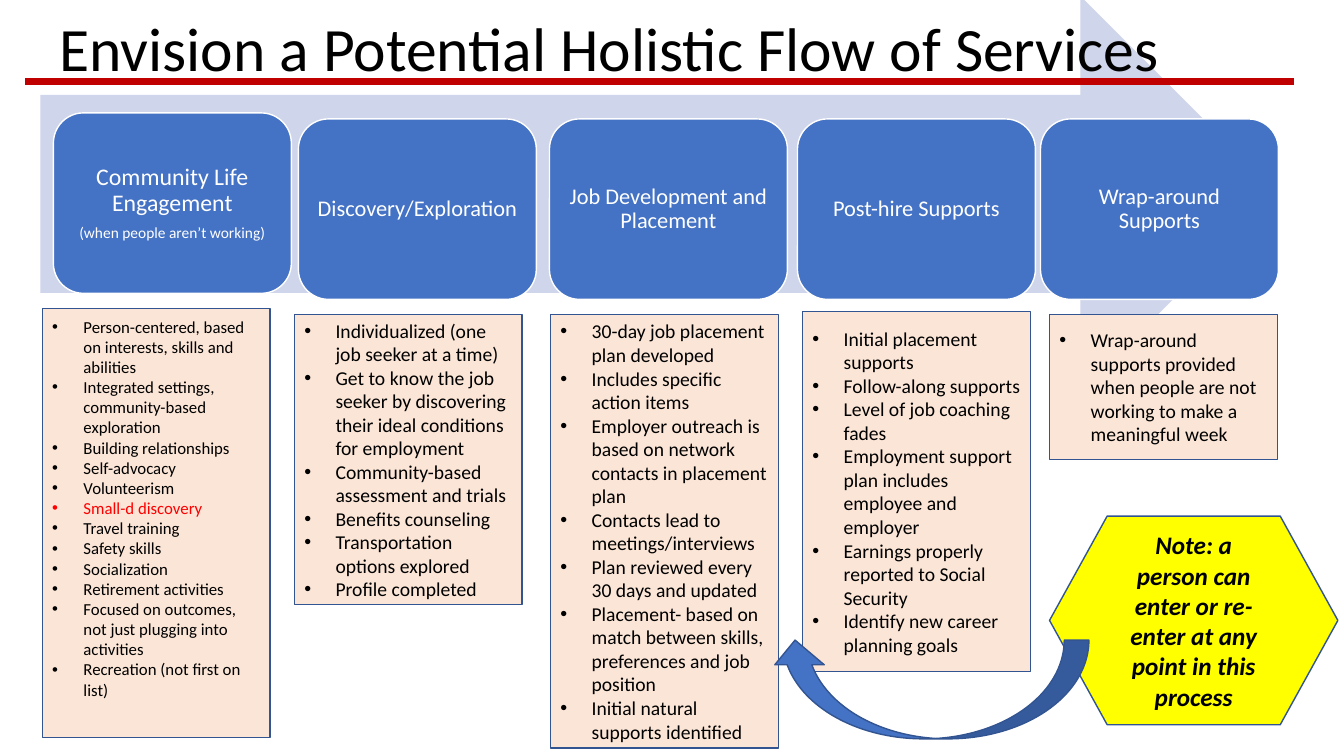
from lxml import etree
from pptx import Presentation
from pptx import util as u
from pptx.dml.color import RGBColor
from pptx.enum import shapes, text
from pptx.oxml.ns import qn

COLORS = {"blue": "4472C4", "pale": "CFD5EA", "white": "FFFFFF", "black": "000000",
          "peach": "FBE5D6", "navy": "325491", "red": "FF0000", "rule": "C00000",
          "yellow": "FFFF00"}
FONT = "Calibri"
SHAPE = shapes.MSO_SHAPE
CENTER, LEFT = text.PP_ALIGN.CENTER, text.PP_ALIGN.LEFT
CARD_WIDTH, LIST_WIDTH, INDENT = 2.36, 2.26, 0.31
HIGHLIGHT = "Small-d discovery"

# Each stage: card (left, top, lines), list (left, top, height, size, bottom inset, items)
STAGES = [
    {"card": (0.53, 1.12, [("Community Life Engagement", 17),
                           ("(when people aren’t working)", 11)]),
     "list": (0.42, 3.06, 4.26, 12, 0.35, [
         "Person-centered, based on interests, skills and abilities",
         "Integrated settings, community-based exploration",
         "Building relationships", "Self-advocacy", "Volunteerism", HIGHLIGHT,
         "Travel training", "Safety skills", "Socialization", "Retirement activities",
         "Focused on outcomes, not just plugging into activities",
         "Recreation (not first on list)"])},
    {"card": (2.96, 1.18, [("Discovery/Exploration", 16)]),
     "list": (2.92, 3.12, 2.88, 14, 0.05, [
         "Individualized (one job seeker at a time)",
         "Get to know the job seeker by discovering their ideal conditions for employment",
         "Community-based assessment and trials", "Benefits counseling",
         "Transportation options explored", "Profile completed"])},
    {"card": (5.45, 1.18, [("Job Development and Placement", 16)]),
     "list": (5.46, 3.12, 4.3, 14, 0.05, [
         "30-day job placement plan developed", "Includes specific action items",
         "Employer outreach is based on network contacts in placement plan",
         "Contacts lead to meetings/interviews",
         "Plan reviewed every 30 days and updated",
         "Placement- based on match between skills, preferences and job position",
         "Initial natural supports identified"])},
    {"card": (7.91, 1.18, [("Post-hire Supports", 16)]),
     "list": (7.96, 3.09, 3.57, 14, 0.05, [
         "Initial placement supports", "Follow-along supports",
         "Level of job coaching fades",
         "Employment support plan includes employee and employer",
         "Earnings properly reported to Social Security",
         "Identify new career planning goals"])},
    {"card": (10.32, 1.18, [("Wrap-around Supports", 16)]),
     "list": (10.41, 3.12, 1.44, 14, 0.05, [
         "Wrap-around supports provided when people are not working "
         "to make a meaningful week"])},
]


def color(name):
    return RGBColor.from_string(COLORS[name])


def add_block(page, kind, box, fill, line=None):
    block = page.shapes.add_shape(kind, *map(u.Inches, box))
    block.shadow.inherit = False
    block.fill.solid()
    block.fill.fore_color.rgb = color(fill)
    if line:
        block.line.color.rgb = color(line)
        block.line.width = u.Pt(1)
    else:
        block.line.fill.background()
    return block


def prepare_frame(block, inset=(0.1, 0.05, 0.1, 0.05)):
    """Wrap and centre vertically, with insets left, top, right, bottom."""
    frame = block.text_frame
    frame.word_wrap = True
    frame.vertical_anchor = text.MSO_ANCHOR.MIDDLE
    (frame.margin_left, frame.margin_top,
     frame.margin_right, frame.margin_bottom) = map(u.Inches, inset)
    return frame


def write(frame, words, size, ink="black", align=LEFT, bullet=False, spacing=1.0,
          after=0, bold=False, italic=False):
    """Fill the empty first paragraph, or append another one."""
    para = frame.paragraphs[0]
    if para.runs:
        para = frame.add_paragraph()
    if bullet:
        props = para._p.get_or_add_pPr()
        props.set("marL", str(u.Inches(INDENT)))
        props.set("indent", str(-u.Inches(INDENT)))
        etree.SubElement(props, qn("a:buFont")).set("typeface", "Arial")
        etree.SubElement(props, qn("a:buChar")).set("char", "•")
    para.alignment = align
    para.line_spacing = spacing
    para.space_after = u.Pt(after)
    span = para.add_run()
    span.text = words
    span.font.name, span.font.size = FONT, u.Pt(size)
    span.font.bold, span.font.italic = bold, italic
    span.font.color.rgb = color(ink)


def add_title(page, box):
    left, top, width, height = box
    title = page.shapes.add_textbox(*map(u.Inches, box))
    write(prepare_frame(title), "Envision a Potential Holistic Flow of Services", 44,
          spacing=0.9)
    y = u.Inches(0.81)
    rule = page.shapes.add_connector(shapes.MSO_CONNECTOR.STRAIGHT,
                                     u.Inches(0.25), y, u.Inches(12.83), y)
    rule.line.color.rgb = color("rule")
    rule.line.width = u.Pt(5)
    etree.SubElement(rule._element.spPr, qn("a:effectLst"))


def add_card(page, left, top, lines):
    card = add_block(page, SHAPE.ROUNDED_RECTANGLE, (left, top, CARD_WIDTH, 1.79),
                     "blue", "white")
    frame = prepare_frame(card, (0.07,) * 4)
    for words, size in lines:
        write(frame, words, size, ink="white", align=CENTER, spacing=0.9,
              after=round(size * 0.35))


def add_list(page, left, top, height, size, bottom, items):
    panel = add_block(page, SHAPE.RECTANGLE, (left, top, LIST_WIDTH, height),
                      "peach", "navy")
    frame = prepare_frame(panel, (0.1, 0.05, 0.1, bottom))
    for item in items:
        write(frame, item, size, ink="red" if item == HIGHLIGHT else "black", bullet=True)


def add_note(page, box):
    """Hexagon note with the curved arrow that leads back into the flow."""
    left, top, width, height = box
    note = add_block(page, SHAPE.FLOWCHART_PREPARATION, box, "yellow", "navy")
    write(prepare_frame(note),
          "Note: a person can enter or re-enter at any point in this process",
          18, align=CENTER, bold=True, italic=True)
    arrow = add_block(page, SHAPE.CURVED_LEFT_ARROW,
                      (left - 1.68, top + 0.14, 0.98, 3.16), "blue", "navy")
    arrow.rotation = 90


def main():
    deck = Presentation()
    deck.slide_width, deck.slide_height = u.Inches(13.33), u.Inches(7.5)
    page = deck.slides.add_slide(deck.slide_layouts[6])
    add_block(page, SHAPE.RIGHT_ARROW, (0.4, -0.04, 12.28, 3.93), "pale")
    for stage in STAGES:
        add_card(page, *stage["card"])
    add_title(page, (0.49, 0.08, 12.31, 0.87))
    for stage in STAGES:
        add_list(page, *stage["list"])
    add_note(page, (10.41, 5.12, 2.86, 2.07))
    deck.save("out.pptx")


if __name__ == "__main__":
    main()
